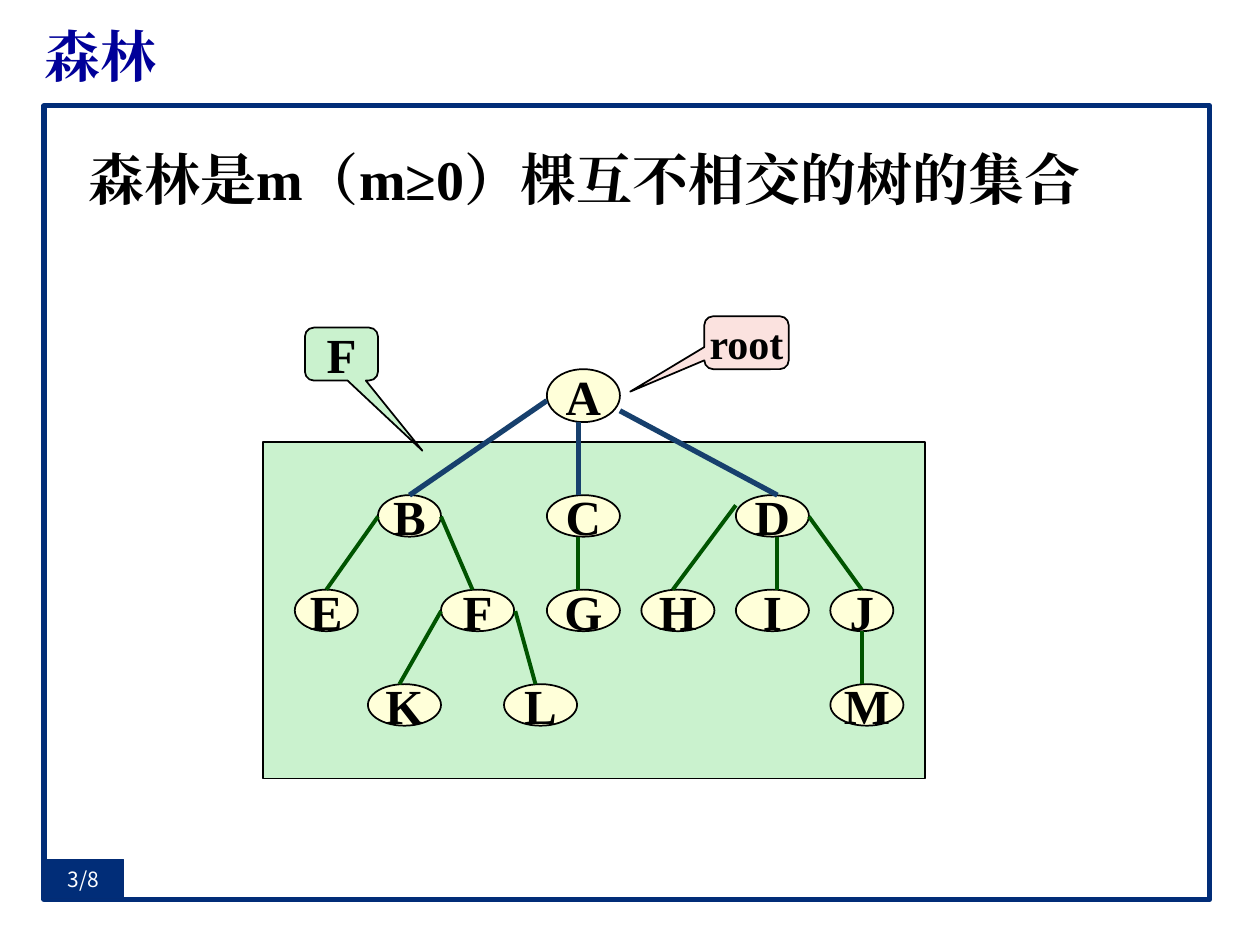
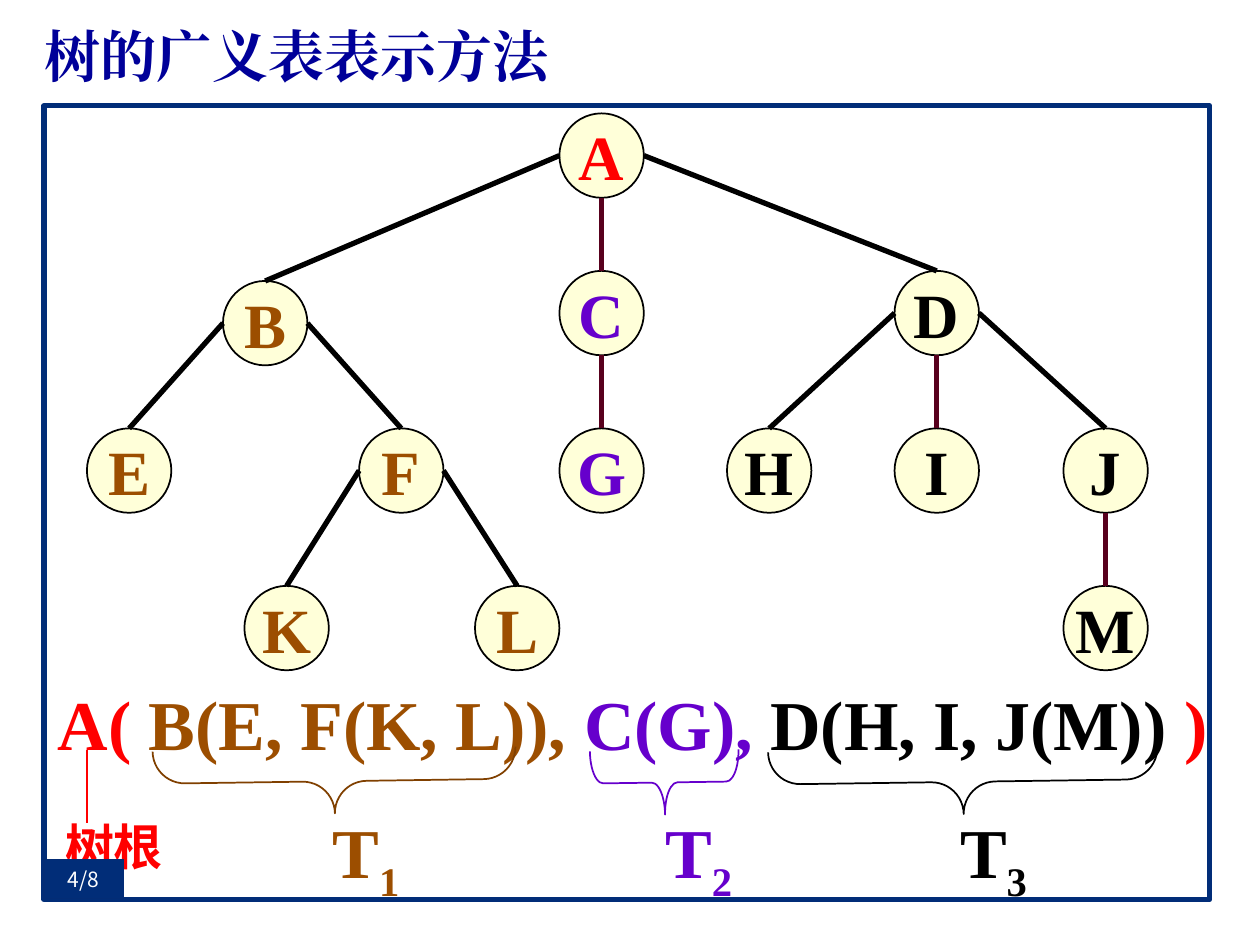
from lxml import etree
from pptx import Presentation
from pptx.dml.color import RGBColor
from pptx.enum.shapes import MSO_CONNECTOR, MSO_SHAPE
from pptx.enum.text import MSO_ANCHOR, PP_ALIGN
from pptx.oxml.ns import qn
from pptx.util import Inches, Pt

RECT = MSO_SHAPE.RECTANGLE
OVAL = MSO_SHAPE.OVAL
CALL = MSO_SHAPE.ROUNDED_RECTANGULAR_CALLOUT
BRACE = MSO_SHAPE.LEFT_BRACE
LINE = MSO_CONNECTOR.STRAIGHT
MIDDLE = MSO_ANCHOR.MIDDLE
CENTER = PP_ALIGN.CENTER
JUSTIFY = PP_ALIGN.JUSTIFY

NAVY = RGBColor(0x01, 0x2D, 0x78)
EDGE = RGBColor(0x03, 0x2C, 0x75)
BLUE = RGBColor(0x00, 0x00, 0x99)
STEEL = RGBColor(0x17, 0x40, 0x6D)
WHITE = RGBColor(0xFF, 0xFF, 0xFF)
BLACK = RGBColor(0x00, 0x00, 0x00)
CREAM = RGBColor(0xFF, 0xFF, 0xD9)
PINK = RGBColor(0xFB, 0xE2, 0xDF)
MINT = RGBColor(0xCA, 0xF2, 0xCE)
GREEN = RGBColor(0x00, 0x54, 0x00)
WINE = RGBColor(0x58, 0x00, 0x1D)
RED = RGBColor(0xFF, 0x00, 0x00)
BROWN = RGBColor(0x9C, 0x4E, 0x00)
UMBER = RGBColor(0x80, 0x40, 0x00)
VIOLET = RGBColor(0x66, 0x00, 0xCC)
TIMES = "Times New Roman"
NOTO = "Noto Sans CJK SC"


def write(shape, parts, size, face=TIMES, bold=True, align=CENTER, wrap=False):
    frame = shape.text_frame
    frame.word_wrap = wrap
    para = frame.paragraphs[0]
    para.alignment = align
    for text, color in parts:
        run = para.add_run()
        run.text = text
        run.font.size = Pt(size)
        run.font.bold = bold
        run.font.name = face
        run.font.color.rgb = color
        etree.SubElement(run.font._element, qn("a:ea"), typeface=face)
    return para


def draw(slide, kind, box, fill, edge=BLACK, width=1, adjust=()):
    shape = slide.shapes.add_shape(kind, *map(Inches, box))
    shape.shadow.inherit = False
    if fill is None:
        shape.fill.background()
    else:
        shape.fill.solid()
        shape.fill.fore_color.rgb = fill
    shape.line.color.rgb = edge
    shape.line.width = Pt(width)
    for index, value in enumerate(adjust):
        shape.adjustments[index] = value
    shape.text_frame.vertical_anchor = MIDDLE
    return shape


deck = Presentation()
deck.slide_width = Inches(10)
deck.slide_height = Inches(7.5)
layout = deck.slide_layouts[5]

slides = []
for name in ("森林", "树的广义表表示方法"):
    slide = deck.slides.add_slide(layout)
    title = slide.shapes.title
    title.left, title.top = Inches(0.35), Inches(0.13)
    title.width, title.height = Inches(9.25), Inches(0.62)
    frame = title.text_frame
    frame.margin_left = frame.margin_right = 0
    frame.margin_top = frame.margin_bottom = 0
    frame.vertical_anchor = MIDDLE
    write(title, [(name, BLUE)], 32, align=JUSTIFY, wrap=True)
    slides.append(slide)
forest, tree = slides

border = draw(forest, RECT, (0.35, 0.84, 9.25, 6.3), WHITE, NAVY, 3)
layout.shapes.element.append(border.element)

box = forest.shapes.add_textbox(Inches(0.4), Inches(0.99), Inches(8.48), Inches(0.75))
para = write(box, [("森林是m（m≥0）棵互不相交的树的集合", BLACK)], 32, wrap=True)
para.line_spacing = 1.2

draw(forest, RECT, (2.09, 3.51, 5.25, 2.67), MINT)
calls = [
    ("root", 24, (5.59, 2.51, 0.67, 0.42), PINK, (-1.378, 0.925, 0.167)),
    ("F", 28, (2.42, 2.6, 0.58, 0.42), MINT, (1.107, 1.825, 0.167)),
]
for text, size, place, fill, adjust in calls:
    write(draw(forest, CALL, place, fill, adjust=adjust), [(text, BLACK)], size)

rows = [
    (2.93, 0.42, {"A": 4.34}),
    (3.93, 0.33, {"B": 3, "C": 4.34, "D": 5.84}),
    (4.68, 0.33, {"E": 2.34, "F": 3.5, "G": 4.34, "H": 5.09, "I": 5.84, "J": 6.59}),
    (5.43, 0.33, {"K": 2.92, "L": 4, "M": 6.59}),
]
for top, high, row in rows:
    for name, left in row.items():
        wide = 0.5 if name in "BEJ" else 0.58
        node = draw(forest, OVAL, (left, top, wide, high), CREAM)
        write(node, [(name, BLACK)], 28)

links = [
    (forest, GREEN, 2.25, ends)
    for ends in [
        (3, 4.1, 2.59, 4.68), (3.5, 4.1, 3.75, 4.68),
        (3.5, 4.85, 3.17, 5.43), (4.09, 4.85, 4.25, 5.43),
        (4.59, 4.26, 4.59, 4.68), (5.84, 4.01, 5.34, 4.68),
        (6.17, 4.26, 6.17, 4.68), (6.42, 4.1, 6.84, 4.68),
        (6.84, 5.01, 6.84, 5.43),
    ]
] + [
    (forest, STEEL, 3, ends)
    for ends in [
        (4.34, 3.18, 3.25, 3.93), (4.59, 3.35, 4.59, 3.93),
        (4.92, 3.26, 6.17, 3.93),
    ]
]

SIDE = 0.67
HALF = SIDE / 2
nodes = {
    "A": (4.44, 0.9, RED),
    "B": (1.77, 2.23, BROWN), "C": (4.44, 2.15, VIOLET), "D": (7.1, 2.15, BLACK),
    "E": (0.69, 3.4, BROWN), "F": (2.85, 3.4, BROWN), "G": (4.44, 3.4, VIOLET),
    "H": (5.77, 3.4, BLACK), "I": (7.1, 3.4, BLACK), "J": (8.44, 3.4, BLACK),
    "K": (1.94, 4.65, BROWN), "L": (3.77, 4.65, BROWN), "M": (8.44, 4.65, BLACK),
}
for name, (left, top, color) in nodes.items():
    node = draw(tree, OVAL, (left, top, SIDE, SIDE), CREAM)
    write(node, [(name, color)], 36)

kids = {"A": "BCD", "B": "EF", "C": "G", "D": "HIJ", "F": "KL", "J": "M"}
for name, group in kids.items():
    left, top, _ = nodes[name]
    for kid in group:
        x, y, _ = nodes[kid]
        if x == left:
            start, color = (left + HALF, top + SIDE), WINE
        else:
            start, color = (left + SIDE * (x > left), top + HALF), BLACK
        links.append((tree, color, 3, (*start, x + HALF, y)))
links.append((tree, RED, 1.5, (0.69, 5.95, 0.69, 6.53)))

for slide, color, width, ends in links:
    line = slide.shapes.add_connector(LINE, *map(Inches, ends))
    line.line.color.rgb = color
    line.line.width = Pt(width)
    etree.SubElement(line.element.spPr, qn("a:effectLst"))

box = tree.shapes.add_textbox(Inches(0.35), Inches(5.35), Inches(9.34), Inches(0.77))
write(box, [
    ("A( ", RED), ("B(E, F(K, L)), ", BROWN), ("C(G),", VIOLET),
    (" D(H, I, J(M)) ", BLACK), (")", RED),
], 40)

parts = [
    ("1", BROWN, UMBER, 2.46, (2.4, 4.76, 0.51, 2.88), 0.5),
    ("2", VIOLET, VIOLET, 5.1, (5.02, 5.62, 0.51, 1.18), 0.2),
    ("3", BLACK, BLACK, 7.44, (7.39, 4.66, 0.51, 3.09), 0.5),
]
for digit, color, edge, left, place, curve in parts:
    brace = draw(tree, BRACE, place, None, edge, adjust=(curve, 0.5))
    brace.rotation = 269.2
    box = tree.shapes.add_textbox(Inches(left), Inches(6.37), Inches(0.89), Inches(0.77))
    para = write(box, [("T", color), (digit, color)], 40, wrap=True)
    para.runs[1].font._element.set("baseline", "-25000")

box = tree.shapes.add_textbox(Inches(0.41), Inches(6.43), Inches(0.99), Inches(0.57))
write(box, [("树根", RED)], 28, NOTO)

for page, slide in enumerate(slides, 3):
    badge = draw(slide, RECT, (0.35, 6.82, 0.63, 0.31), NAVY, EDGE, 0.75)
    frame = badge.text_frame
    frame.margin_left = frame.margin_right = 0
    frame.margin_top = frame.margin_bottom = 0
    write(badge, [(f"{page}/8", WHITE)], 12, NOTO, bold=False, wrap=True)

deck.save("out.pptx")
